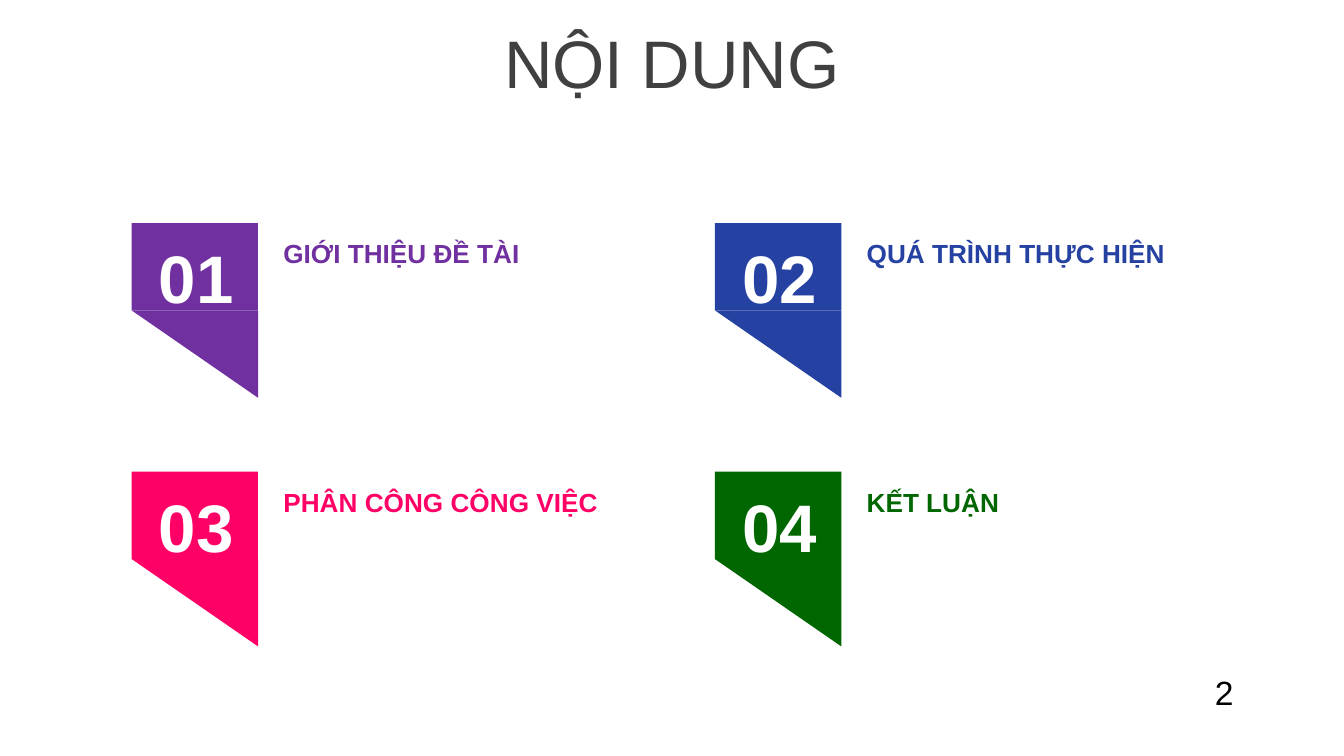
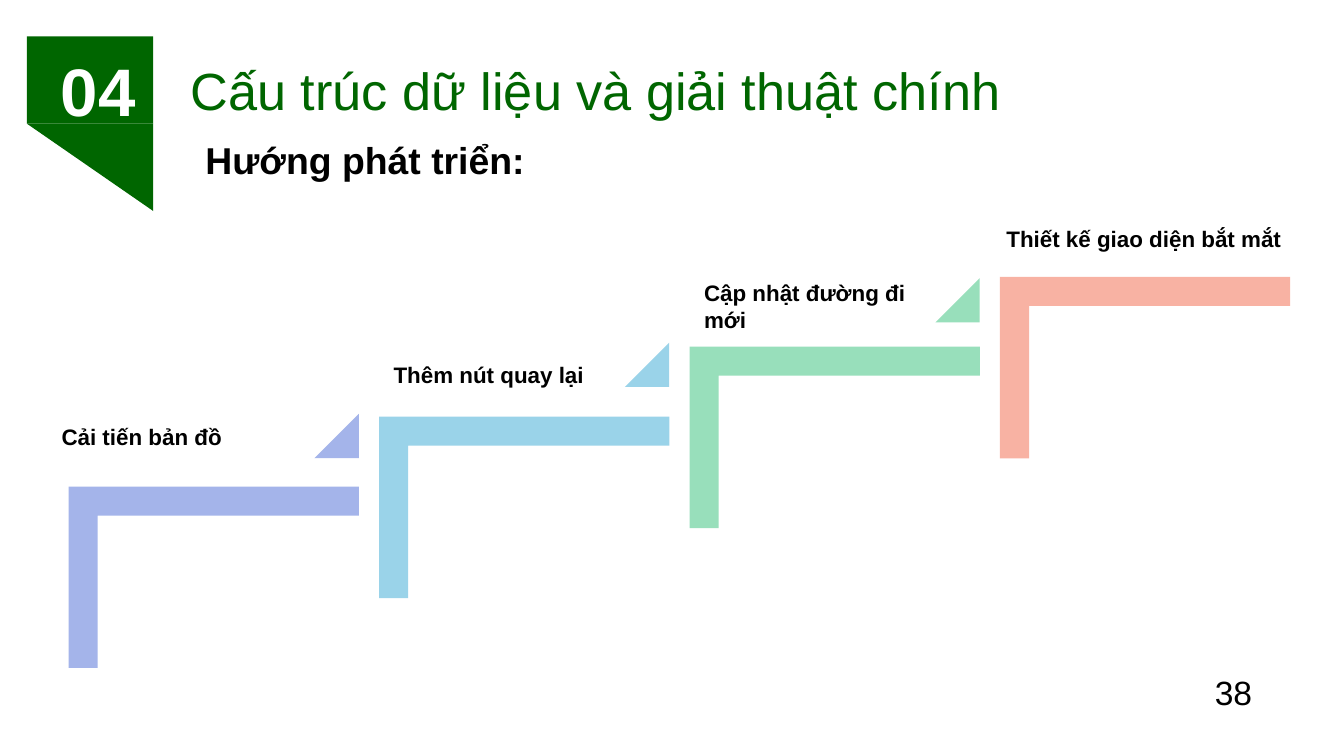
from pptx import Presentation
from pptx.dml.color import RGBColor
from pptx.enum.shapes import MSO_SHAPE
from pptx.enum.text import MSO_ANCHOR, MSO_AUTO_SIZE, PP_ALIGN
from pptx.util import Inches, Pt

RECTANGLE = MSO_SHAPE.RECTANGLE
TRIANGLE = MSO_SHAPE.ISOSCELES_TRIANGLE
CORNER = MSO_SHAPE.CORNER
LEFT = PP_ALIGN.LEFT
CENTER = PP_ALIGN.CENTER
MIDDLE = MSO_ANCHOR.MIDDLE
NO_AUTOFIT = MSO_AUTO_SIZE.NONE

SLIDE_WIDTH = 10
SLIDE_HEIGHT = SLIDE_WIDTH * 9 / 16
TITLE_ONLY = 5
FONT = "Arial"
BLACK, WHITE, GRAY = "000000", "FFFFFF", "404040"
PURPLE, BLUE, PINK, GREEN = "7030A0", "2542A2", "FF0066", "006600"

TITLE_HEIGHT = 0.63
BADGE_WIDTH, BADGE_HALF = 0.94, 0.65

AGENDA_LEFT, AGENDA_TOP = 0.98, 1.66
AGENDA_COLUMN, AGENDA_ROW = 4.34, 1.85
AGENDA = [
    ("GIỚI THIỆU ĐỀ TÀI", PURPLE),
    ("QUÁ TRÌNH THỰC HIỆN", BLUE),
    ("PHÂN CÔNG CÔNG VIỆC", PINK),
    ("KẾT LUẬN", GREEN),
]

STEP_LEFT, STEP_TOP = 0.51, 3.62
STEP_RUN, STEP_RISE = 2.31, 0.52
STEP_WIDTH, STEP_HEIGHT = 2.16, 1.35
STEP_THICKNESS = 0.16
MARKER_SIZE = 0.33
STEPS = [
    ("Cải tiến bản đồ", "A4B4EA", (0.36, 3.1, 2.23, 0.3), 3.08),
    ("Thêm nút quay lại", "9AD3E9", (2.83, 2.64, 2.05, 0.3), 2.55),
    ("Cập nhật đường đi mới", "98DFBB", (5.14, 2.03, 1.82, 0.5), 2.07),
    ("Thiết kế giao diện bắt mắt", "F8B2A3", (7.39, 1.63, 2.6, 0.3), None),
]


def color(value):
    return RGBColor.from_string(value)


def write(shape, text, size, text_color, bold=False, align=LEFT):
    shape.text_frame.word_wrap = True
    paragraph = shape.text_frame.paragraphs[0]
    paragraph.text = text
    paragraph.alignment = align
    paragraph.font.name = FONT
    paragraph.font.size = Pt(size)
    paragraph.font.bold = bold
    paragraph.font.color.rgb = color(text_color)


def add_text(slide, box, text, size, text_color=BLACK, bold=False, align=LEFT):
    shape = slide.shapes.add_textbox(*map(Inches, box))
    write(shape, text, size, text_color, bold, align)


def add_figure(slide, kind, box, fill, rotation=0, adjustments=()):
    shape = slide.shapes.add_shape(kind, *map(Inches, box))
    shape.shadow.inherit = False
    shape.fill.solid()
    shape.fill.fore_color.rgb = color(fill)
    shape.line.fill.background()
    shape.rotation = rotation
    for index, adjustment in enumerate(adjustments):
        shape.adjustments[index] = adjustment


def add_badge(slide, left, top, number, fill, number_shift=0.01):
    add_figure(slide, RECTANGLE, (left, top, BADGE_WIDTH, BADGE_HALF), fill)
    add_figure(slide, TRIANGLE, (left, top + BADGE_HALF, BADGE_WIDTH, BADGE_HALF), fill, 180, [0])
    number_box = (left + number_shift, top + 0.05, BADGE_WIDTH, 0.71)
    add_text(slide, number_box, f"{number:02d}", 36, WHITE, True, CENTER)


def add_step(slide, index, text, fill, label_box, marker_top):
    left = STEP_LEFT + index * STEP_RUN
    top = STEP_TOP - index * STEP_RISE
    turned_left = left + (STEP_WIDTH - STEP_HEIGHT) / 2
    turned_top = top + (STEP_HEIGHT - STEP_WIDTH) / 2
    add_figure(slide, CORNER, (turned_left, turned_top, STEP_HEIGHT, STEP_WIDTH), fill, 90,
               [STEP_THICKNESS, STEP_THICKNESS])
    if marker_top is not None:
        marker_left = left + STEP_WIDTH - MARKER_SIZE
        add_figure(slide, TRIANGLE, (marker_left, marker_top, MARKER_SIZE, MARKER_SIZE), fill,
                   adjustments=[1])
    add_text(slide, label_box, text, 12, bold=True)


def add_titled_slide(presentation, title_text, left, top, width, size, title_color, page):
    slide = presentation.slides.add_slide(presentation.slide_layouts[TITLE_ONLY])
    title = slide.shapes.title
    title.left, title.top = Inches(left), Inches(top)
    title.width, title.height = Inches(width), Inches(TITLE_HEIGHT)
    title.text_frame.auto_size = NO_AUTOFIT
    title.text_frame.vertical_anchor = MIDDLE
    write(title, title_text, size, title_color, align=CENTER)
    add_text(slide, (8.94, 4.95, 0.79, 0.4), str(page), 18)
    return slide


def build_agenda(presentation):
    slide = add_titled_slide(presentation, "NỘI DUNG", 0, 0.14, SLIDE_WIDTH, 36, GRAY, 2)
    for index, (text, fill) in enumerate(AGENDA):
        row, column = divmod(index, 2)
        left = AGENDA_LEFT + column * AGENDA_COLUMN
        top = AGENDA_TOP + row * AGENDA_ROW
        add_badge(slide, left, top, index + 1, fill)
        add_text(slide, (left + 1.03, top + 0.06, 2.91, 0.34), text, 14, fill, True)


def build_directions(presentation):
    slide = add_titled_slide(presentation, "Cấu trúc dữ liệu và giải thuật chính",
                             1.16, 0.35, 6.54, 28, GREEN, 38)
    add_badge(slide, 0.2, 0.27, 4, GREEN, 0.06)
    add_text(slide, (1.43, 0.97, 4.09, 0.44), "Hướng phát triển:", 20, bold=True)
    for index, step in enumerate(STEPS):
        add_step(slide, index, *step)


def main():
    presentation = Presentation()
    presentation.slide_width = Inches(SLIDE_WIDTH)
    presentation.slide_height = Inches(SLIDE_HEIGHT)
    build_agenda(presentation)
    build_directions(presentation)
    presentation.save("out.pptx")


if __name__ == "__main__":
    main()
